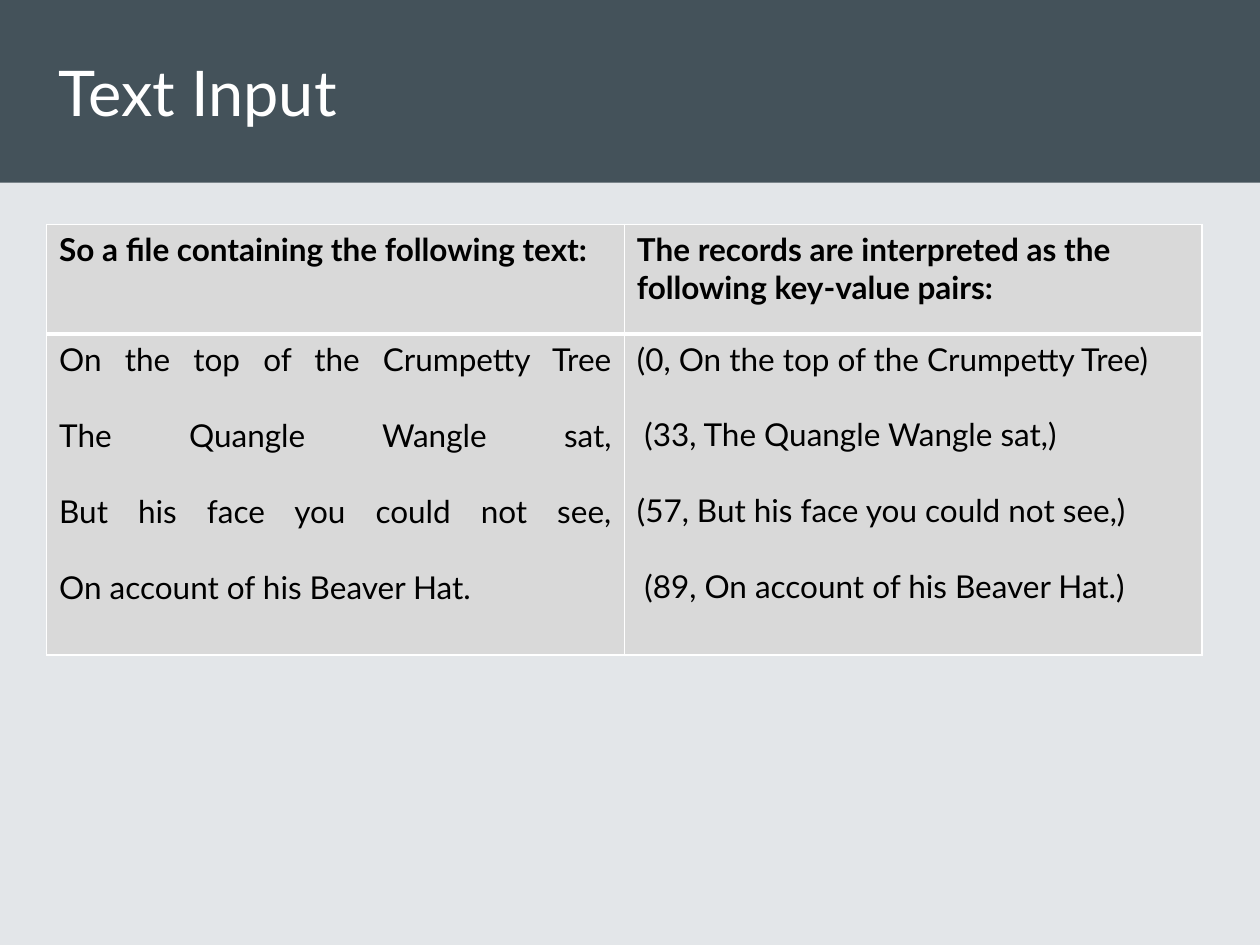
import pptx
import pptx.util
import pptx.dml.color
import pptx.enum.shapes
import pptx.enum.text
import pptx.oxml
import pptx.oxml.ns

Inches, Pt = pptx.util.Inches, pptx.util.Pt
ALIGN = pptx.enum.text.PP_ALIGN
FONT = "Lato"
WHITE, BLACK, GREY = "FFFFFF", "000000", "D9D9D9"
SLATE, PALE = "44525A", "E3E6E9"

HEADS = ["So a file containing the following text:",
         "The records are interpreted as the following key-value pairs:"]
POEM = ["On the top of the Crumpetty Tree", "The Quangle Wangle sat,",
        "But his face you could not see,", "On account of his Beaver Hat."]
KEYS = [0, 33, 57, 89]


def paint(color, code):
    color.rgb = pptx.dml.color.RGBColor.from_string(code)


def style(para, size, code, bold=False):
    for run in para.runs:
        run.font.name, run.font.size, run.font.bold = FONT, Pt(size), bold
        paint(run.font.color, code)


def border(cell, widths):
    """Draw white edges; widths are points for left, right, top, bottom."""
    props = cell._tc.get_or_add_tcPr()
    for spot, (side, width) in enumerate(zip("LRTB", widths)):
        props.insert(spot, pptx.oxml.parse_xml(
            f'<a:ln{side} {pptx.oxml.ns.nsdecls("a")} w="{Pt(width)}">'
            f'<a:solidFill><a:srgbClr val="{WHITE}"/></a:solidFill></a:ln{side}>'))


def banner(slide, left, top, width, height):
    # Full-width band
    band = slide.shapes.add_shape(
        pptx.enum.shapes.MSO_SHAPE.RECTANGLE, left, top, width, height)
    band.shadow.inherit = False
    band.fill.solid()
    paint(band.fill.fore_color, SLATE)
    band.line.fill.background()

    # Title
    inset = Inches(0.37)
    title = slide.shapes.add_textbox(left + inset, top, Inches(9.17), height)
    frame = title.text_frame
    frame.word_wrap = True
    frame.vertical_anchor = pptx.enum.text.MSO_ANCHOR.MIDDLE
    frame.text = "Text Input"
    style(frame.paragraphs[0], 36, WHITE)


def records(slide, left, top, width, height):
    grid = slide.shapes.add_table(2, 2, left, top, width, height).table
    grid.horz_banding = False
    grid.rows[0].height = Inches(0.87)
    grid.rows[1].height = height - Inches(0.87)

    # Heading row
    for col, head in enumerate(HEADS):
        cell = grid.cell(0, col)
        cell.text_frame.text = head
        style(cell.text_frame.paragraphs[0], 18, BLACK, True)

    # Verse: line breaks keep each justified line stretched
    para = grid.cell(1, 0).text_frame.paragraphs[0]
    para.text = "\v\v".join(POEM)
    para.alignment = ALIGN.JUSTIFY
    style(para, 18, BLACK)

    # Key-value pairs, every second one slightly indented
    frame = grid.cell(1, 1).text_frame
    frame.text = "\n".join(f"({key}, {line})" for key, line in zip(KEYS, POEM))
    for num, para in enumerate(frame.paragraphs):
        style(para, 18, BLACK)
        if num:
            para.space_before = Pt(21.6)
        if num % 2:
            para._p.get_or_add_pPr().set("marL", str(Inches(0.06)))

    # Fills and edges
    for row in range(2):
        for col in range(2):
            cell = grid.cell(row, col)
            cell.fill.solid()
            paint(cell.fill.fore_color, GREY)
            border(cell, (1, 1, 3, 1) if row else (1, 1, 1, 3))


def main():
    deck = pptx.Presentation()
    deck.slide_width, deck.slide_height = Inches(10), Inches(7.5)
    slide = deck.slides.add_slide(deck.slide_layouts[6])
    slide.background.fill.solid()
    paint(slide.background.fill.fore_color, PALE)
    banner(slide, 0, 0, deck.slide_width, Inches(1.45))
    records(slide, Inches(0.37), Inches(1.78), Inches(9.17), Inches(3.42))
    deck.save("out.pptx")


if __name__ == "__main__":
    main()
